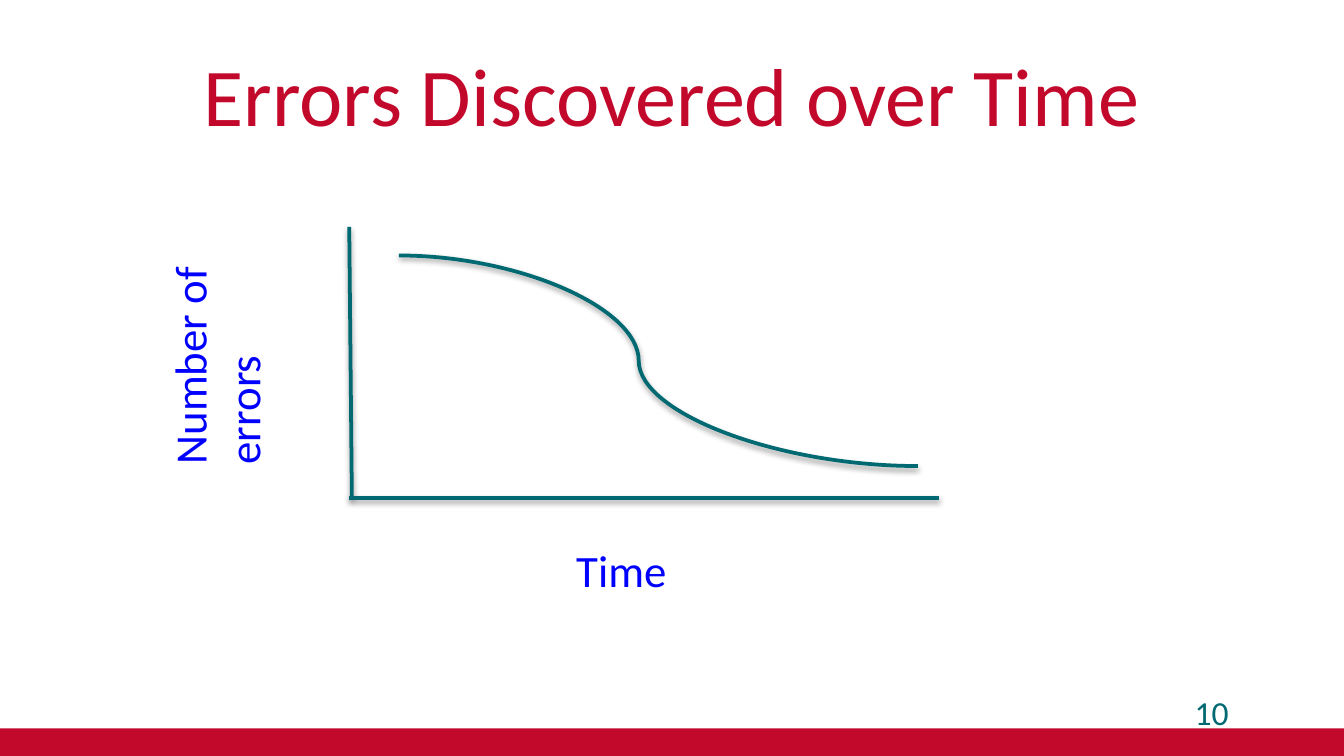
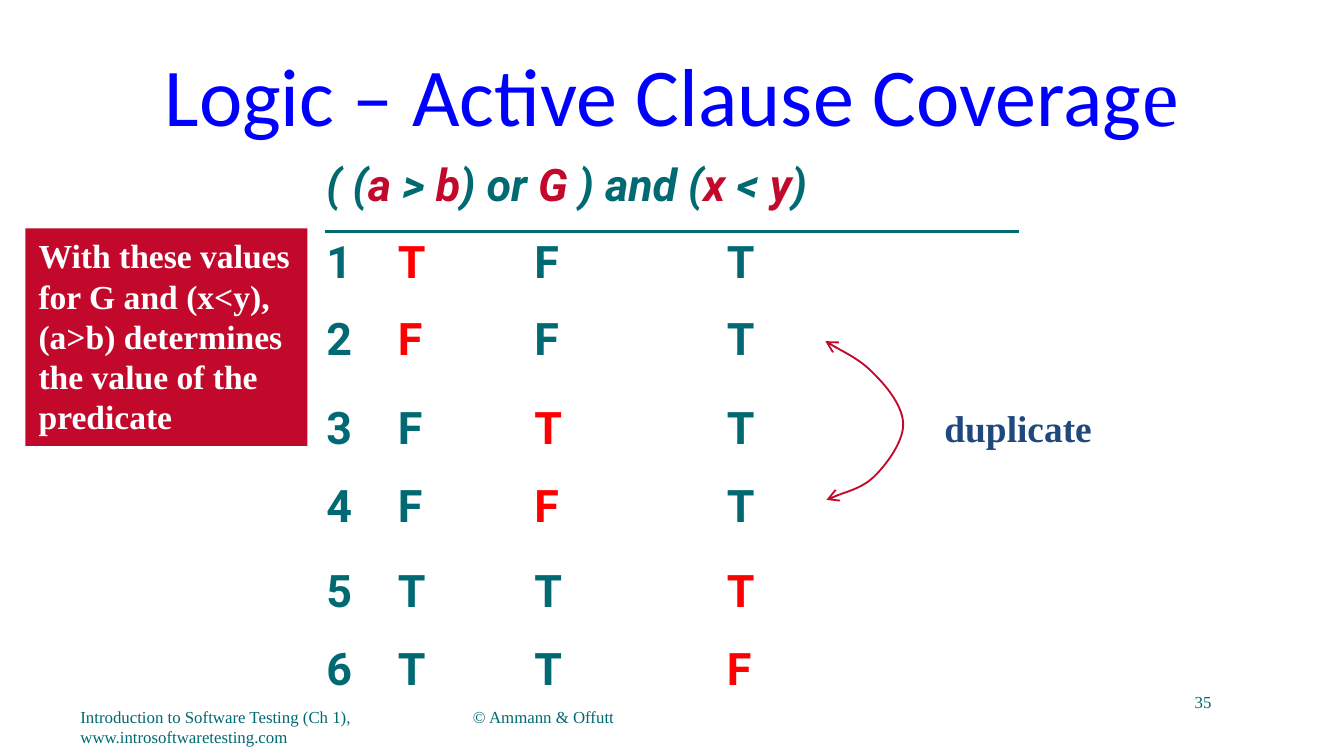
"""Builds two software testing slides: an error curve and a clause coverage table."""
from dataclasses import dataclass
from typing import NamedTuple, Optional

from lxml import etree
from pptx import Presentation
from pptx.dml.color import RGBColor
from pptx.enum import shapes, text
from pptx.oxml import ns
from pptx.util import Cm, Pt

RED = RGBColor(0xC3, 0x09, 0x2B)
BRIGHT_RED = RGBColor(0xFF, 0x00, 0x00)
TEAL = RGBColor(0x00, 0x69, 0x71)
BLUE = RGBColor(0x00, 0x00, 0xFF)
NAVY = RGBColor(0x1F, 0x49, 0x7D)
WHITE = RGBColor(0xFF, 0xFF, 0xFF)
BLACK = RGBColor(0x00, 0x00, 0x00)

SANS, SERIF, TABLE_FONT = "Calibri", "Times New Roman", "Roboto"
COLUMN_TABS = (1.35, 3.93, 7.57)
TABLE_LEFT = 5.92
ROW_GAP = Pt(12.5)


class Box(NamedTuple):
    """Left, top, width and height in centimetres."""
    left: float
    top: float
    width: float
    height: float


class Point(NamedTuple):
    """A position in centimetres."""
    x: float
    y: float


@dataclass(frozen=True)
class Style:
    """Default look of the text in a box."""
    size: float
    font: str
    color: RGBColor
    bold: bool = False


@dataclass(frozen=True)
class Run:
    """A piece of text with what differs from its style."""
    text: str
    color: Optional[RGBColor] = None
    font: Optional[str] = None
    italic: bool = False


@dataclass(frozen=True)
class Row:
    """A numbered test with its clause values and the active clause."""
    number: int
    values: str
    active: int

    def runs(self) -> list[Run]:
        """Return the tab separated cells, the active one highlighted."""
        cells = [Run(f"\t{value}", BRIGHT_RED if i == self.active else None)
                 for i, value in enumerate(self.values)]
        return [Run(str(self.number)), *cells]


TITLE_BOX = Box(1.27, 0.58, 22.86, 2.39)
NUMBER_BOX = Box(22.33, 12.95, 1.8, 0.53)
AXIS_LABEL = Style(24, SANS, BLUE)
FOOTER = Style(9, SERIF, TEAL)
TABLE = Style(24, TABLE_FONT, TEAL, bold=True)


def sub(parent, tag: str, **attributes: object):
    """Append a DrawingML element and return it."""
    values = {name: str(value) for name, value in attributes.items()}
    return etree.SubElement(parent, ns.qn(f"a:{tag}"), values)


def fill_text(tf, paragraphs: list[list[Run]], style: Style) -> None:
    """Write styled paragraphs into a text frame."""
    tf.word_wrap = True
    for i, runs in enumerate(paragraphs):
        p = tf.add_paragraph() if i else tf.paragraphs[0]
        p.alignment = text.PP_ALIGN.LEFT
        p.space_before = ROW_GAP if i else Pt(0)
        for run in runs:
            r = p.add_run()
            r.text = run.text
            r.font.size = Pt(style.size)
            r.font.name = run.font or style.font
            r.font.color.rgb = run.color or style.color
            r.font.bold = style.bold
            r.font.italic = run.italic


def add_text(slide, box: Box, paragraphs: list[list[Run]], style: Style):
    """Add a text box and return it."""
    sp = slide.shapes.add_textbox(*map(Cm, box))
    fill_text(sp.text_frame, paragraphs, style)
    return sp


def add_label(slide, box: Box, label: str, style: Style):
    """Add a text box with one plain paragraph."""
    return add_text(slide, box, [[Run(label)]], style)


def add_title(slide, runs: list[Run], color: RGBColor) -> None:
    """Add the centred slide title."""
    tf = add_text(slide, TITLE_BOX, [runs], Style(44, SANS, color)).text_frame
    tf.vertical_anchor = text.MSO_ANCHOR.MIDDLE
    tf.paragraphs[0].alignment = text.PP_ALIGN.CENTER


def add_block(slide, box: Box):
    """Add a plain red rectangle and return it."""
    sp = slide.shapes.add_shape(shapes.MSO_SHAPE.RECTANGLE, *map(Cm, box))
    sp.shadow.inherit = False
    sp.fill.solid()
    sp.fill.fore_color.rgb = RED
    sp.line.fill.background()
    return sp


def add_line(slide, start: Point, end: Point, width: float,
             kind=shapes.MSO_CONNECTOR.STRAIGHT, shadow: bool = False):
    """Add a teal connector, with a soft shadow on request."""
    cxn = slide.shapes.add_connector(kind, *map(Cm, (*start, *end)))
    cxn.line.color.rgb = TEAL
    cxn.line.width = Pt(width)
    effects = sub(cxn._element.spPr, "effectLst")
    if shadow:
        outer = sub(effects, "outerShdw", blurRad=Pt(3.1), dist=Pt(1.6),
                    dir=90 * 60000, rotWithShape=0)
        sub(sub(outer, "srgbClr", val=BLACK), "alpha", val=38000)
    return cxn


def add_arc(slide, points: list[Point]) -> None:
    """Add a red Bézier outline with an arrowhead at each end."""
    start, *controls = [(Cm(x), Cm(y)) for x, y in points]
    builder = slide.shapes.build_freeform(*start)
    builder.add_line_segments(controls, close=False)
    sp = builder.convert_to_shape()
    segments = list(sp._element.iter(ns.qn("a:lnTo")))
    outline = segments[0].getparent()
    for i in range(0, len(segments), 3):
        bezier = sub(outline, "cubicBezTo")
        for segment in segments[i:i + 3]:
            bezier.append(segment[0])
            outline.remove(segment)
    sp.shadow.inherit = False
    sp.fill.background()
    sp.line.color.rgb = RED
    sp.line.width = Pt(1)
    ln = sp.line._get_or_add_ln()
    for end in ("headEnd", "tailEnd"):
        sub(ln, end, type="arrow")


def add_rows(slide, top: float, height: float, rows: list[Row],
             header: Optional[list[Run]] = None) -> None:
    """Add table rows aligned on shared tab stops."""
    paragraphs = ([header] if header else []) + [row.runs() for row in rows]
    sp = add_text(slide, Box(TABLE_LEFT, top, 13.97, height), paragraphs, TABLE)
    for p in sp.text_frame.paragraphs:
        tabs = sub(p._p.get_or_add_pPr(), "tabLst")
        for stop in COLUMN_TABS:
            sub(tabs, "tab", pos=Cm(stop), algn="l")


def build_errors(slide) -> None:
    """Draw the curve of errors discovered over time."""
    add_block(slide, Box(0, 13.77, 25.4, 0.52))
    add_title(slide, [Run("Errors Discovered over Time")], RED)
    y_label = add_label(slide, Box(1.6, 4.29, 6.07, 3.4), "Number of errors", AXIS_LABEL)
    y_label.rotation = 270
    add_label(slide, NUMBER_BOX, "10", Style(18, SANS, TEAL))
    add_line(slide, Point(6.6, 4.29), Point(6.65, 9.42), 2, shadow=True)
    add_line(slide, Point(6.6, 9.42), Point(17.75, 9.42), 2, shadow=True)
    curve = add_line(slide, Point(7.54, 4.83), Point(17.35, 8.81), 2,
                     shapes.MSO_CONNECTOR.CURVE, shadow=True)
    guides = curve._element.spPr.find(ns.qn("a:prstGeom")).get_or_add_avLst()
    sub(guides, "gd", name="adj1", fmla="val 46200")
    add_label(slide, Box(10.64, 10.13, 4.98, 1.27), "Time", AXIS_LABEL)


def build_coverage(slide) -> None:
    """Draw the active clause coverage table and its notes."""
    add_label(slide, Box(1.27, 13.23, 5.92, 0.76),
              "Introduction to Software Testing (Ch 1), www.introsoftwaretesting.com", FOOTER)
    add_label(slide, Box(8.69, 13.23, 8.05, 0.76), "© Ammann & Offutt", FOOTER)
    add_label(slide, NUMBER_BOX, "35", FOOTER)
    add_title(slide, [Run("Logic – Active Clause Coverag"), Run("e", font=SERIF)], BLUE)

    pieces = ("( (", "a", " > ", "b", ") or ", "G", " ) and (", "x", " < ", "y", ")")
    predicate = [Run(piece, RED if i % 2 else TEAL, italic=True)
                 for i, piece in enumerate(pieces)]
    add_rows(slide, 2.84, 4.37, [Row(1, "TFT", 0), Row(2, "FFT", 0)], predicate)
    add_line(slide, Point(6.15, 4.37), Point(19.25, 4.37), 1.5)
    add_arc(slide, [
        Point(15.6, 6.45),
        Point(15.75, 6.55), Point(16.28, 6.81), Point(16.54, 7.09),
        Point(16.79, 7.34), Point(17.07, 7.7), Point(17.07, 8.03),
        Point(17.07, 8.33), Point(16.79, 8.74), Point(16.54, 8.99),
        Point(16.31, 9.22), Point(15.82, 9.35), Point(15.62, 9.45)])
    add_label(slide, Box(17.6, 7.54, 3.35, 1.12), "duplicate",
              Style(20, SERIF, NAVY, bold=True))
    add_rows(slide, 7.44, 2.82, [Row(3, "FTT", 1), Row(4, "FFT", 1)])
    add_rows(slide, 10.52, 2.82, [Row(5, "TTT", 2), Row(6, "TTF", 2)])

    note = add_block(slide, Box(0.48, 4.32, 5.33, 4.11))
    note.text_frame.vertical_anchor = text.MSO_ANCHOR.TOP
    fill_text(note.text_frame, [[Run("With these values for G and (x<y), (a>b) "
                                     "determines the value of the predicate")]],
              Style(18, SERIF, WHITE, bold=True))


def main() -> None:
    """Build and save the presentation."""
    prs = Presentation()
    prs.slide_width, prs.slide_height = Cm(25.4), Cm(14.29)
    for build in (build_errors, build_coverage):
        build(prs.slides.add_slide(prs.slide_layouts[6]))
    prs.save("out.pptx")


if __name__ == "__main__":
    main()
